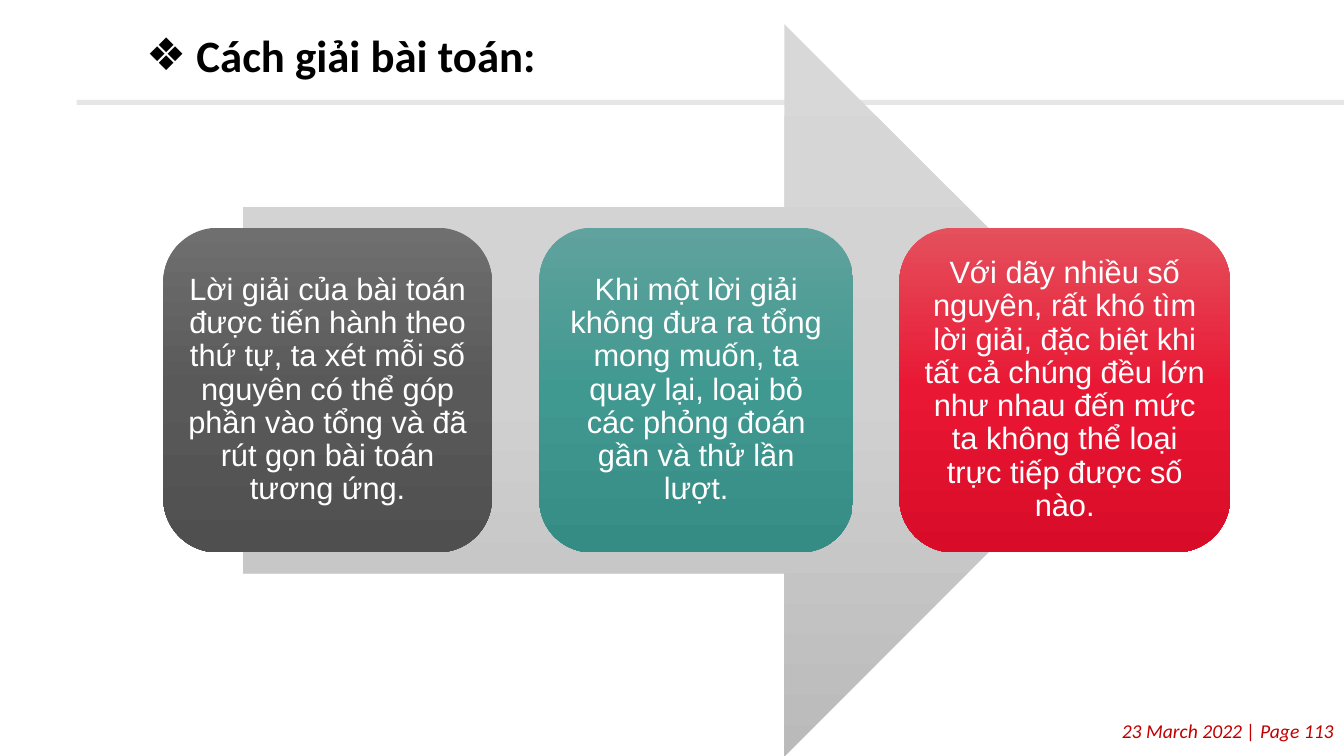
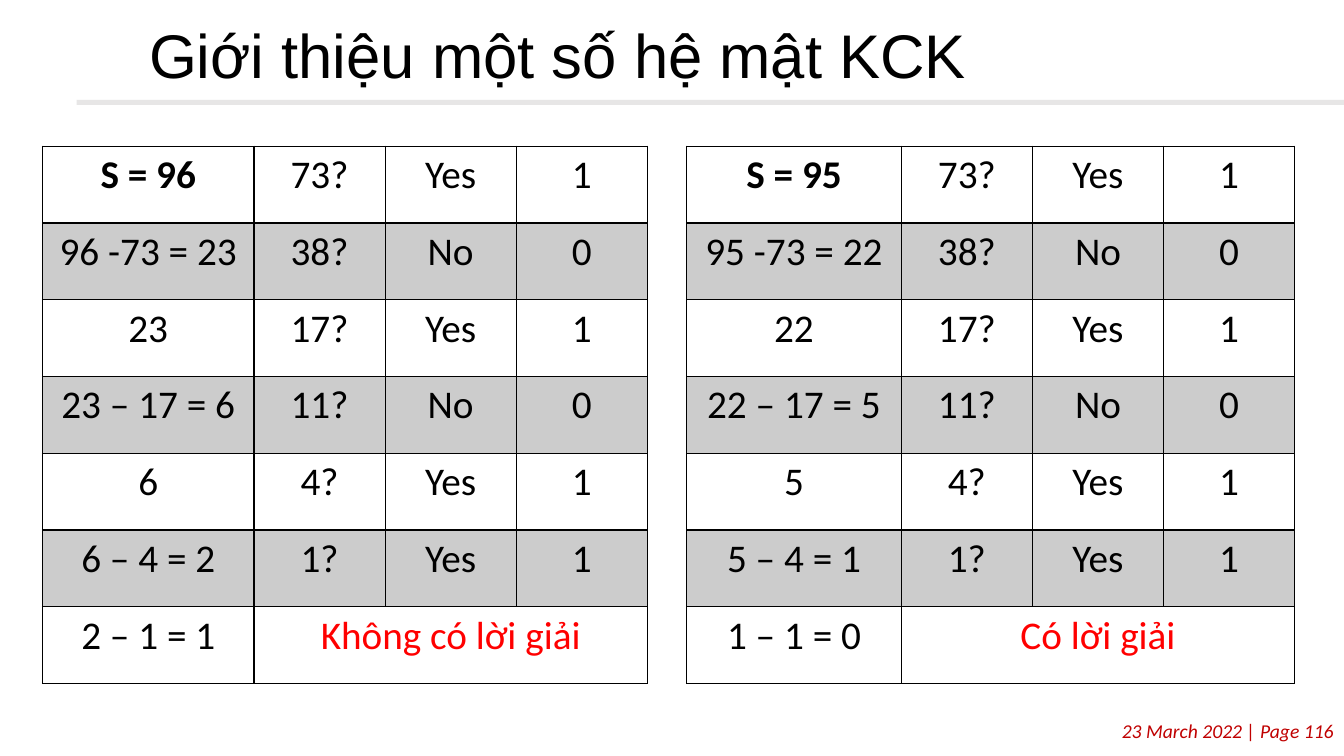
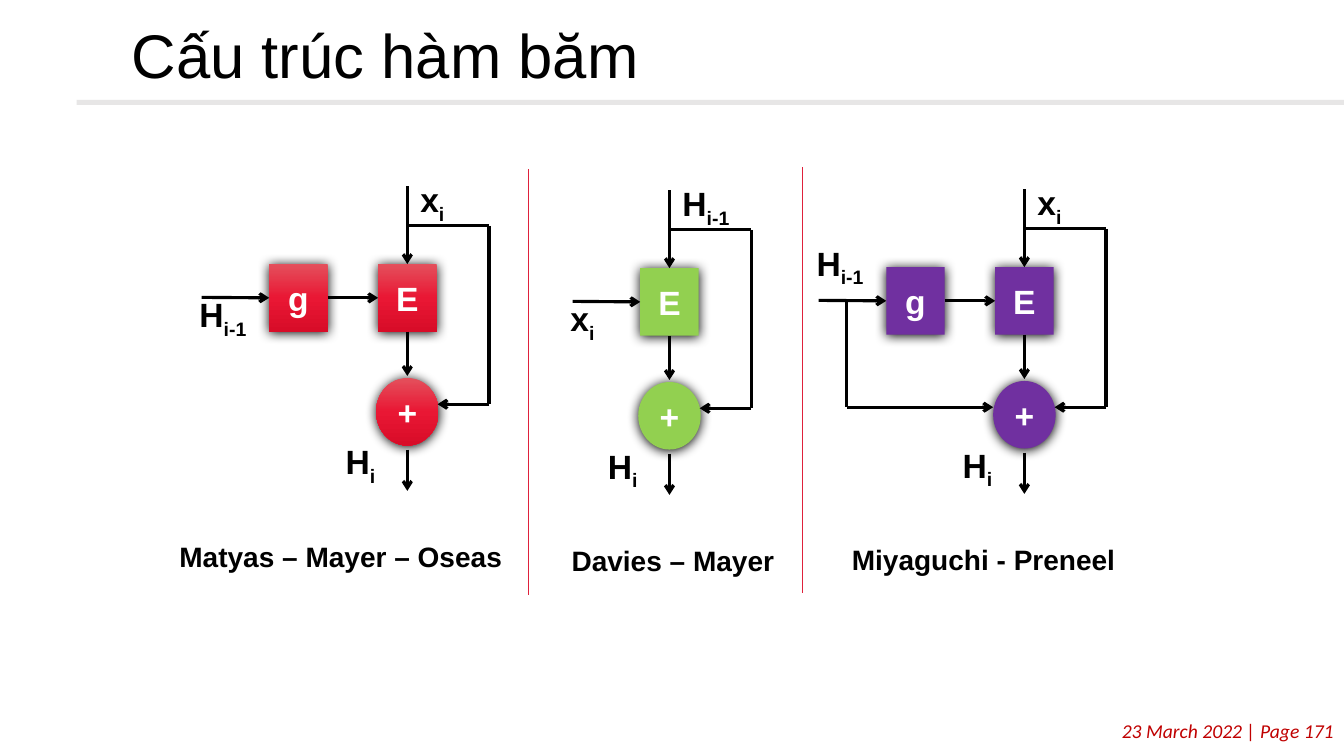
from lxml import etree
from pptx import Presentation
from pptx import util as u
from pptx.dml.color import RGBColor
from pptx.enum import shapes, text
from pptx.oxml import parse_xml
from pptx.oxml.ns import nsdecls, qn

W, H = 13.33, 7.5
BLACK, WHITE, GREY, BAND = "000000", "FFFFFF", "E7E6E6", "CCCCCC"
DATE, ALERT, SPLIT = "C00000", "FF0000", "DF213B"
STEEL = ("D8D8D8", "D1D1D1", "BABABA")
DARK = ("6F6F6F", "595959", "4F4F4F")
TEAL = ("60A29D", "409991", "358C84")
RED = ("E4505C", "E91734", "D80C28")
GREEN, PURPLE = "92D050", "7030A0"
SHAPE = shapes.MSO_SHAPE
LEFT, MID, RIGHT = text.PP_ALIGN.LEFT, text.PP_ALIGN.CENTER, text.PP_ALIGN.RIGHT


def rgb(code):
    return RGBColor.from_string(code)


def inch(*vals):
    return [u.Inches(v) for v in vals]


def sub(node, tag, **attrs):
    return etree.SubElement(node, qn(tag), {k: str(v) for k, v in attrs.items()})


def write(para, runs, size, color=BLACK, font="Arial", bold=False,
          italic=False, align=LEFT, space=None):
    """Fill a paragraph; every second run is a subscript."""
    para.alignment = align
    if space:
        para.line_spacing = space
    for i, words in enumerate(runs):
        run = para.add_run()
        run.text = words
        f = run.font
        f.name, f.size, f.bold, f.italic = font, u.Pt(size), bold, italic
        f.color.rgb = rgb(color)
        if i % 2:
            run._r.get_or_add_rPr().set("baseline", "-25000")


def label(slide, box, runs, size, middle=False, **style):
    frame = slide.shapes.add_textbox(*inch(*box)).text_frame
    frame.word_wrap = True
    if middle:
        frame.vertical_anchor = text.MSO_ANCHOR.MIDDLE
    write(frame.paragraphs[0], runs, size, **style)
    return frame


def paint(shape, fill):
    """Fill with one colour, or with three from top to bottom."""
    if isinstance(fill, str):
        shape.fill.solid()
        shape.fill.fore_color.rgb = rgb(fill)
        return
    grad = parse_xml(f'<a:gradFill {nsdecls("a")} rotWithShape="1"/>')
    stops = sub(grad, "a:gsLst")
    for i, code in enumerate(fill):
        sub(sub(stops, "a:gs", pos=i * 50000), "a:srgbClr", val=code)
    sub(grad, "a:lin", ang=5400000, scaled=0)
    shape._element.spPr.find(qn("a:prstGeom")).addnext(grad)


def block(slide, kind, box, fill, words="", size=24, bold=True, inset=0.05,
          space=None, glow=False):
    shape = slide.shapes.add_shape(kind, *inch(*box))
    paint(shape, fill)
    shape.line.fill.background()
    shape.shadow.inherit = False
    if glow:
        effect = shape._element.spPr.find(qn("a:effectLst"))
        shade = sub(effect, "a:outerShdw", blurRad=u.Pt(8.5), dist=u.Pt(1),
                    dir=5400000, rotWithShape=0)
        sub(shade, "a:srgbClr", val=BLACK)
    if words:
        frame = shape.text_frame
        frame.word_wrap = True
        frame.vertical_anchor = text.MSO_ANCHOR.MIDDLE
        frame.margin_left = frame.margin_right = u.Inches(inset)
        frame.margin_top = frame.margin_bottom = u.Inches(inset)
        write(frame.paragraphs[0], [words], size, WHITE, bold=bold,
              align=MID, space=space)
    return shape


def line(slide, ends, color=BLACK, width=2.25, arrow=False, start=None, stop=None):
    """Draw a line; start and stop are (shape, side) pairs to join."""
    link = slide.shapes.add_connector(shapes.MSO_CONNECTOR.STRAIGHT, *inch(*ends))
    link.line.color.rgb = rgb(color)
    link.line.width = u.Pt(width)
    if arrow:
        sub(link.line._get_or_add_ln(), "a:tailEnd", type="arrow")
    sub(link._element.spPr, "a:effectLst")
    if start:
        link.begin_connect(*start)
    if stop:
        link.end_connect(*stop)


def base(deck, page):
    slide = deck.slides.add_slide(deck.slide_layouts[6])
    label(slide, (0.05, 7.08, W - 0.05, 0.34), [f"23 March 2022 | Page {page}"],
          14, color=DATE, font="Calibri", italic=True, align=RIGHT)
    block(slide, SHAPE.RECTANGLE, (0.76, 0.99, W - 0.76, 0.05), GREY)
    return slide


def title(slide, x, words):
    label(slide, (x, 0.18, 11.5, 0.8), [words], 44, middle=True, space=0.9)


def heading(slide, words):
    frame = label(slide, (1.18, 0, W - 1.18, 0.92), [words], 32, middle=True,
                  font="Calibri", bold=True, space=1.3)
    frame.margin_top = frame.margin_bottom = u.Inches(0.1)
    props = frame.paragraphs[0]._p.get_or_add_pPr()
    props.set("marL", str(u.Inches(0.67)))
    props.set("indent", str(u.Inches(-0.5)))
    sub(props, "a:buFont", typeface="Arial")
    sub(props, "a:buChar", char="❖")


def process(slide, box, cards):
    """Big arrow with cards, each given as offset, width, fill and words."""
    x, y, w, h = box
    block(slide, SHAPE.RIGHT_ARROW, box, STEEL)
    tall = 3.22
    for dx, wide, fill, words in cards:
        block(slide, SHAPE.ROUNDED_RECTANGLE, (x + dx, y + (h - tall) / 2, wide, tall),
              fill, words, 22, bold=False, inset=0.09, space=0.9)


def edge(cell, thick):
    props = cell._tc.get_or_add_tcPr()
    for i, side in enumerate(("a:lnL", "a:lnR", "a:lnT", "a:lnB")):
        ln = parse_xml(f'<{side} {nsdecls("a")} w="{u.Pt(thick.get(side, 1))}"/>')
        sub(sub(ln, "a:solidFill"), "a:srgbClr", val=BLACK)
        props.insert(i, ln)


def grid(slide, box, rows, narrow=1.3):
    x, y, w, h = box
    count = len(rows)
    table = slide.shapes.add_table(count, 4, *inch(*box)).table
    table.first_row = table.horz_banding = False
    for i, col in enumerate(table.columns):
        col.width = u.Inches(narrow if i else w - 3 * narrow)
    for r, row in enumerate(rows):
        table.rows[r].height = u.Inches(h / count)
        for c in range(4):
            cell = table.cell(r, c)
            if r % 2:
                cell.fill.solid()
                cell.fill.fore_color.rgb = rgb(BAND)
            else:
                cell.fill.background()
            edge(cell, {"a:lnB": 2} if r == 0 else {"a:lnT": 2} if r == 1 else {})
            if c < len(row):
                last = r == count - 1 and c == 1
                write(cell.text_frame.paragraphs[0], [row[c]], 28,
                      ALERT if last else BLACK, "Calibri",
                      bold=r == c == 0, align=MID)
    table.cell(count - 1, 1).merge(table.cell(count - 1, 3))


def trial(sums, verdict):
    """Rows of one knapsack trial."""
    tests = [("73?", 1), ("38?", 0), ("17?", 1), ("11?", 0), ("4?", 1), ("1?", 1)]
    rows = [(s, t, "Yes" if bit else "No", str(bit))
            for s, (t, bit) in zip(sums, tests)]
    return rows + [(sums[-1], verdict)]


def scheme(slide, x, y, fill, top, side, name, shift, gate=True, feed=False):
    """Hash scheme; x and y are the corner of E, shift is the caption's offset."""
    def put(dx, dy, runs):
        label(slide, (x + dx, y + dy, 0.79, 0.5), runs, 24, bold=True)

    def wire(x1, y1, x2, y2, **style):
        line(slide, (x + x1, y + y1, x + x2, y + y2), **style)

    def node(dx, dy, word, kind=SHAPE.RECTANGLE, wide=0.58):
        return block(slide, kind, (x + dx, y + dy, wide, 0.67), fill, word, glow=True)

    axis, mid, turn, far = 0.29, 0.33, 1.39, 1.1
    first = -1.08 if gate else 0
    enc = node(0, 0, "E")
    entry = enc
    if gate:
        entry = node(first, 0, "g")
        wire(-0.5, mid, 0, mid, arrow=True, start=(entry, 3), stop=(enc, 1))
    node(-0.02, 1.13, "+", SHAPE.OVAL, 0.62)
    wire(first - 0.67, mid, first, mid, arrow=True, stop=(entry, 1))
    wire(axis, -0.77, axis, 0, arrow=True, stop=(enc, 0))
    wire(axis, 0.67, axis, 1.11, arrow=True, start=(enc, 2))
    wire(axis, -0.38, far, -0.38)
    wire(far, -0.38, far, turn)
    wire(far, turn, 0.59, turn, arrow=True)
    wire(axis, 1.84, axis, 2.25, arrow=True)
    if feed:
        wire(-1.47, mid, -1.47, turn)
        wire(-1.47, turn, -0.02, turn, arrow=True)
    put(0.32, -0.89, top)
    put(first - 0.79, -0.29 if feed else 0.25, side)
    put(-0.42, 1.71, ("H", "i"))
    label(slide, (x + shift, y + 2.68, 3.78, 0.44), [name], 20, bold=True)


def main():
    deck = Presentation()
    deck.slide_width, deck.slide_height = inch(W, H)

    slide = base(deck, 113)
    heading(slide, "Cách giải bài toán:")
    process(slide, (2.41, 0.24, 9, 7.26), [
        (-0.79, 3.26, DARK, "Lời giải của bài toán được tiến hành theo thứ tự, ta xét mỗi số "
         "nguyên có thể góp phần vào tổng và đã rút gọn bài toán tương ứng."),
        (2.94, 3.11, TEAL, "Khi một lời giải không đưa ra tổng mong muốn, ta quay lại, "
         "loại bỏ các phỏng đoán gần và thử lần lượt."),
        (6.51, 3.28, RED, "Với dãy nhiều số nguyên, rất khó tìm lời giải, đặc biệt khi tất cả "
         "chúng đều lớn như nhau đến mức ta không thể loại trực tiếp được số nào.")])

    slide = base(deck, 116)
    title(slide, 1.38, "Giới thiệu một số hệ mật KCK")
    grid(slide, (0.42, 1.45, 6, 5.33), trial(
        ["S = 96", "96 -73 = 23", "23", "23 – 17 = 6", "6", "6 – 4 = 2", "2 – 1 = 1"],
        "Không có lời giải"))
    grid(slide, (6.81, 1.45, 6.03, 5.33), trial(
        ["S = 95", "95 -73 = 22", "22", "22 – 17 = 5", "5", "5 – 4 = 1", "1 – 1 = 0"],
        "Có lời giải"))

    slide = base(deck, 171)
    title(slide, 1.21, "Cấu trúc hàm băm")
    data, prev = ("x", "i"), ("H", "i-1")
    scheme(slide, 3.75, 2.62, RED, data, prev, "Matyas – Mayer – Oseas", -2.07)
    scheme(slide, 6.35, 2.66, GREEN, prev, data, "Davies – Mayer", -0.78, gate=False)
    scheme(slide, 9.87, 2.65, PURPLE, data, prev, "Miyaguchi - Preneel", -1.52, feed=True)
    for x, y in ((5.24, 1.68), (7.96, 1.66)):
        line(slide, (x, y, x, y + 4.22), SPLIT, 0.5)

    deck.save("out.pptx")


if __name__ == "__main__":
    main()
